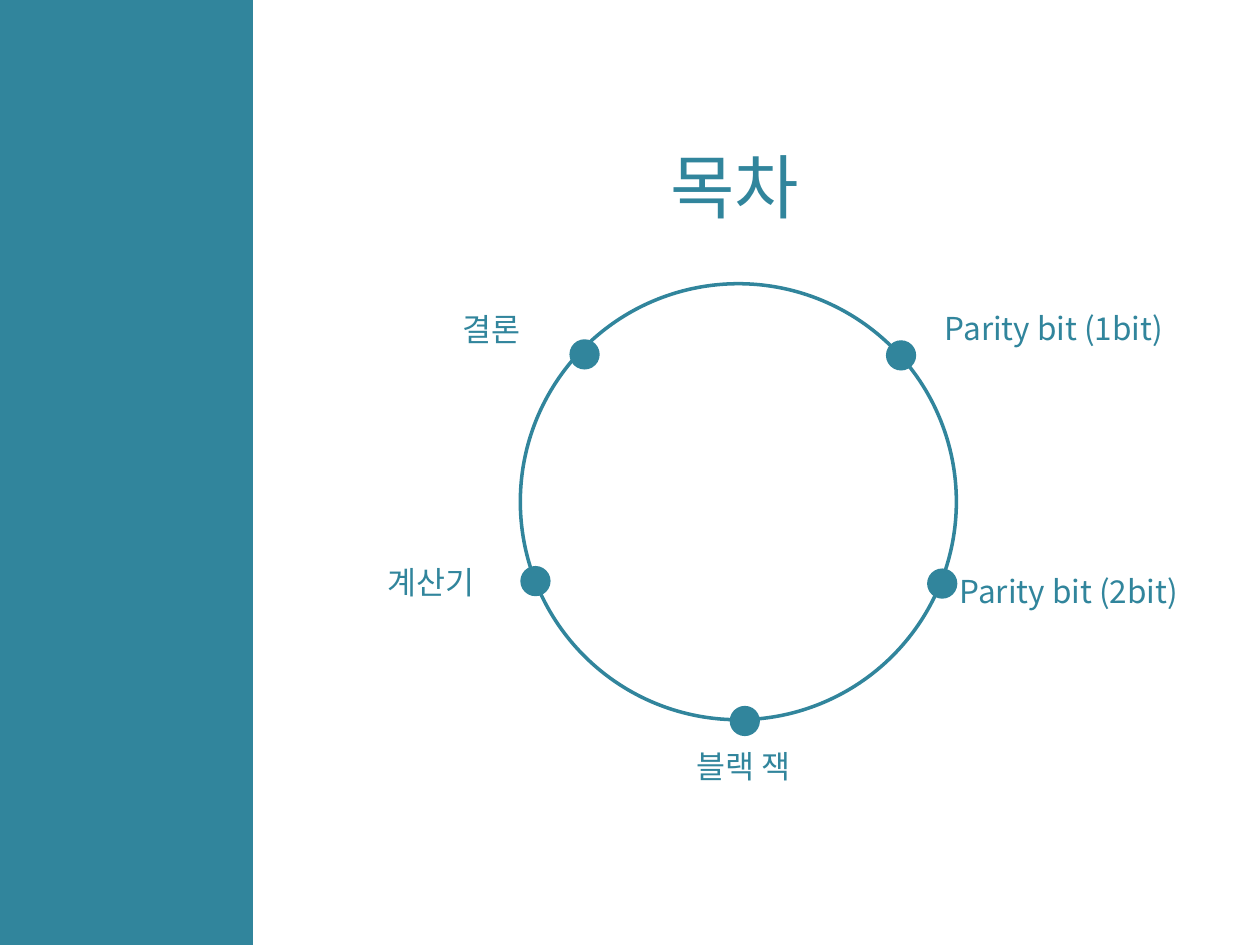
from pptx import Presentation
from pptx import util as u
from pptx.dml import color
from pptx.enum import shapes, text
from pptx.oxml import ns
from lxml import etree

COLORS = {"teal": "31859C", "white": "FFFFFF"}
FONT = "Noto Sans CJK KR"
DOT_SIZE = 0.61
LABEL_SIZE = (6.81, 1.02)
LEFT, CENTER = text.PP_ALIGN.LEFT, text.PP_ALIGN.CENTER

TOPICS = [
    ("Parity bit (1bit)", LEFT, (8.31, 0.38), (7.37, 1.14)),
    ("Parity bit (2bit)", LEFT, (8.61, 5.69), (8.2, 5.74)),
    ("블랙 잭", CENTER, (1.09, 9.22), (4.22, 8.51)),
    ("계산기", CENTER, (-5.21, 5.51), (0, 5.69)),
    ("결론", CENTER, (-3.99, 0.41), (0.99, 1.12)),
]


def rgb(name):
    return color.RGBColor.from_string(COLORS[name])


def lengths(*values):
    return [u.Cm(value) for value in values]


def write_text(shape, words, size, alignment):
    frame = shape.text_frame
    frame.text = words
    frame.word_wrap = True
    frame.auto_size = text.MSO_AUTO_SIZE.NONE
    frame.vertical_anchor = text.MSO_ANCHOR.TOP
    paragraph = frame.paragraphs[0]
    paragraph.alignment = alignment
    paragraph.font.name = FONT
    paragraph.font.size = u.Pt(size)
    paragraph.font.color.rgb = rgb("teal")
    properties = paragraph.runs[0].font
    properties.name = FONT
    latin = paragraph.runs[0]._r.rPr.find(ns.qn("a:latin"))
    east_asian = etree.Element(ns.qn("a:ea"), typeface=FONT)
    latin.addnext(east_asian)


def add_filled(slide, kind, left, top, width, height):
    shape = slide.shapes.add_shape(kind, *lengths(left, top, width, height))
    shape.shadow.inherit = False
    shape.fill.solid()
    shape.fill.fore_color.rgb = rgb("teal")
    shape.line.fill.background()
    return shape


def place_title(slide, left, top, width, height):
    title = slide.shapes.title
    title.left, title.top, title.width, title.height = lengths(left, top, width, height)
    write_text(title, "목차", 40, CENTER)


def draw_topic_ring(slide, left, top, size):
    oval = shapes.MSO_SHAPE.OVAL
    ring = slide.shapes.add_shape(oval, *lengths(left, top, size, size))
    ring.shadow.inherit = False
    ring.fill.background()
    ring.line.color.rgb = rgb("teal")
    ring.line.width = u.Pt(2)
    for words, alignment, (x, y), _ in TOPICS:
        label = slide.shapes.add_textbox(*lengths(left + x, top + y, *LABEL_SIZE))
        write_text(label, words, 18, alignment)
    for _, _, _, (x, y) in TOPICS:
        add_filled(slide, oval, left + x, top + y, DOT_SIZE, DOT_SIZE)


def main():
    presentation = Presentation()
    presentation.slide_width, presentation.slide_height = lengths(25.4, 19.05)
    slide = presentation.slides.add_slide(presentation.slide_layouts[5])
    slide.background.fill.solid()
    slide.background.fill.fore_color.rgb = rgb("white")
    add_filled(slide, shapes.MSO_SHAPE.RECTANGLE, -0.51, -0.2, 5.61, 19.33)
    place_title(slide, 12.9, 2.77, 3.81, 1.96)
    draw_topic_ring(slide, 10.49, 5.72, 8.79)
    presentation.save("out.pptx")


if __name__ == "__main__":
    main()
